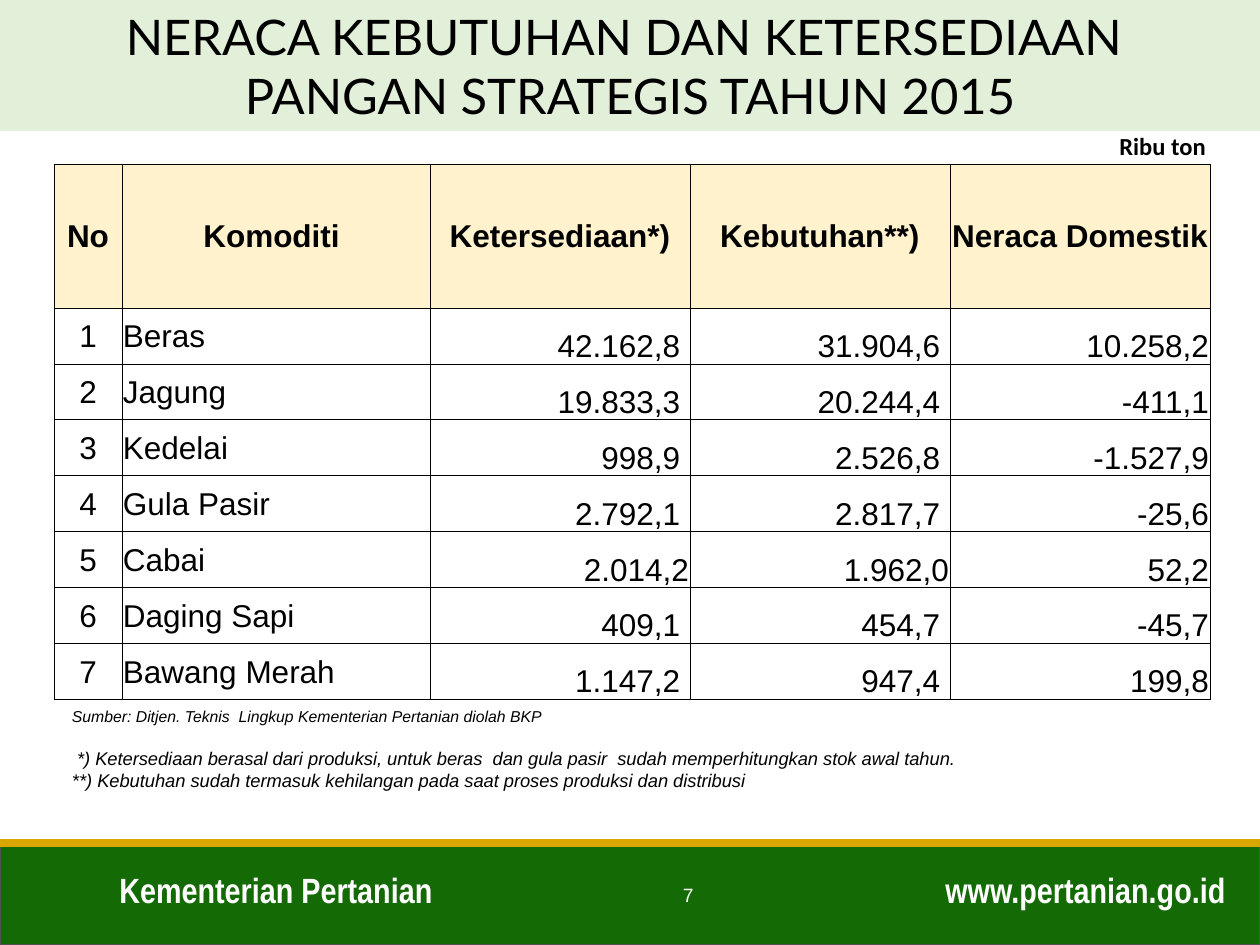
"""Build the 2015 food balance slide."""
import pptx
import pptx.dml.color
import pptx.enum.shapes
import pptx.enum.text
import pptx.oxml
import pptx.oxml.ns
import pptx.util

Align = pptx.enum.text.PP_ALIGN
Anchor = pptx.enum.text.MSO_ANCHOR
Fit = pptx.enum.text.MSO_AUTO_SIZE
SCALE = 914400 / 126
BLACK, WHITE = "000000", "FFFFFF"

HEAD = ["No", "Komoditi ", "Ketersediaan*)", "Kebutuhan**)", "Neraca Domestik "]
ROWS = [
    ["1", "Beras", "42.162,8 ", "31.904,6 ", "10.258,2"],
    ["2", "Jagung", "19.833,3 ", "20.244,4 ", "-411,1"],
    ["3", "Kedelai", "998,9 ", "2.526,8 ", "-1.527,9"],
    ["4", "Gula Pasir", "2.792,1 ", "2.817,7 ", "-25,6"],
    ["5", "Cabai", "2.014,2", "1.962,0", "52,2"],
    ["6", "Daging Sapi", "409,1 ", "454,7 ", "-45,7"],
    ["7", "Bawang Merah", "1.147,2 ", "947,4 ", "199,8"],
]
NOTES = [
    ("Sumber: Ditjen. Teknis  Lingkup Kementerian Pertanian diolah BKP", 9, 0),
    (" *) Ketersediaan berasal dari produksi, untuk beras  dan gula pasir  "
     "sudah memperhitungkan stok awal tahun.", 10.5, 12),
    ("**) Kebutuhan sudah termasuk kehilangan pada saat proses produksi "
     "dan distribusi", 10.5, 0),
]


def px(num):
    return pptx.util.Emu(round(num * SCALE))


def color(code):
    return pptx.dml.color.RGBColor.from_string(code)


def assign(item, vals):
    for key, val in vals.items():
        setattr(item, key, val)


class Deck:
    def __init__(self):
        self.prs = pptx.Presentation()
        assign(self.prs, {"slide_width": px(1260), "slide_height": px(945)})
        self.slide = self.prs.slides.add_slide(self.prs.slide_layouts[5])
        self.font = {"name": "Arial", "bold": False, "italic": False}

    def place(self, item, left, top, width, height):
        assign(item, {"left": px(left), "top": px(top),
                      "width": px(width), "height": px(height)})

    def style(self, para, size, code=BLACK, align=Align.LEFT, **font):
        para.alignment = align
        assign(para.font, {**self.font, "size": pptx.util.Pt(size), **font})
        para.font.color.rgb = color(code)

    def paint(self, item, code):
        item.fill.solid()
        item.fill.fore_color.rgb = color(code)

    def title(self, text, box, fill):
        item = self.slide.shapes.title
        self.place(item, *box)
        self.paint(item, fill)
        frame = item.text_frame
        frame.text = text
        assign(frame, {"word_wrap": True, "auto_size": Fit.NONE,
                       "vertical_anchor": Anchor.MIDDLE})
        for para in frame.paragraphs:
            self.style(para, 28, align=Align.CENTER, name="Lato")

    def text(self, text, box, size, anchor=Anchor.TOP, **look):
        item = self.slide.shapes.add_textbox(*map(px, box))
        frame = item.text_frame
        assign(frame, {"word_wrap": True, "vertical_anchor": anchor})
        frame.text = text
        self.style(frame.paragraphs[0], size, **look)

    def notes(self, notes, box):
        frame = self.slide.shapes.add_textbox(*map(px, box)).text_frame
        assign(frame, {"word_wrap": True, "margin_left": 0})
        frame.text = "\n".join(note[0] for note in notes)
        for para, (_, size, gap) in zip(frame.paragraphs, notes):
            self.style(para, size, italic=True)
            para.space_before = pptx.util.Pt(gap)

    def rect(self, box, fill, edge):
        kind = pptx.enum.shapes.MSO_SHAPE.RECTANGLE
        item = self.slide.shapes.add_shape(kind, *map(px, box))
        item.shadow.inherit = False
        self.paint(item, fill)
        item.line.color.rgb = color(edge)
        item.line.width = pptx.util.Pt(1)

    def line(self, ends, code, width):
        kind = pptx.enum.shapes.MSO_CONNECTOR.STRAIGHT
        item = self.slide.shapes.add_connector(kind, *map(px, ends))
        item.line.color.rgb = color(code)
        item.line.width = pptx.util.Pt(width)
        props = item._element.spPr
        props.append(props.makeelement(pptx.oxml.ns.qn("a:effectLst"), {}))

    def border(self, cell):
        space = pptx.oxml.ns.nsdecls("a")
        props = cell._tc.get_or_add_tcPr()
        for side in "LRTB":
            props.append(pptx.oxml.parse_xml(
                f'<a:ln{side} {space} w="6350"><a:solidFill>'
                f'<a:srgbClr val="{BLACK}"/></a:solidFill></a:ln{side}>'))

    def cell(self, cell, text, fill, anchor, align, bold):
        edge = px(1)
        assign(cell, {"text": text, "vertical_anchor": anchor,
                      "margin_left": edge, "margin_right": edge,
                      "margin_top": edge, "margin_bottom": 0})
        self.style(cell.text_frame.paragraphs[0], 18, align=align, bold=bold)
        self.border(cell)
        self.paint(cell, fill)

    def table(self, rows, left, top, cols, highs):
        box = map(px, (left, top, sum(cols), sum(highs)))
        grid = self.slide.shapes.add_table(len(rows), len(cols), *box).table
        assign(grid, {"first_row": False, "horz_banding": False})
        for col, width in zip(grid.columns, cols):
            col.width = px(width)
        for row, high in zip(grid.rows, highs):
            row.height = px(high)
        sides = [Align.CENTER, Align.LEFT] + [Align.RIGHT] * 3
        for r, row in enumerate(rows):
            for c, text in enumerate(row):
                head = r == 0
                self.cell(grid.cell(r, c), text,
                          "FFF2CC" if head else WHITE,
                          Anchor.MIDDLE if head or c < 2 else Anchor.BOTTOM,
                          Align.CENTER if head else sides[c], head)


def main():
    deck = Deck()
    foot = {"code": WHITE, "name": "Arial Narrow", "bold": True}
    deck.rect((0, 843, 1260, 102), "146B05", "525252")
    deck.text("Kementerian Pertanian", (107, 862, 461, 55), 20, **foot)
    deck.text("www.pertanian.go.id", (888, 862, 350, 55), 20,
              align=Align.RIGHT, **foot)
    deck.line((0, 843, 1260, 843), "DAA600", 4.5)
    deck.title("NERACA KEBUTUHAN DAN KETERSEDIAAN \n"
               "PANGAN STRATEGIS TAHUN 2015", (0, 0, 1260, 131), "E2F0D9")
    deck.text("7", (412, 870, 294, 50), 11, Anchor.MIDDLE,
              code=WHITE, align=Align.RIGHT)
    deck.text("Ribu ton", (1107, 125, 119, 42), 14, name="Calibri", bold=True)
    deck.notes(NOTES, (72, 701, 1115, 98))
    deck.table([HEAD] + ROWS, 54, 164, [68, 308] + [260] * 3,
               [144] + [56] * len(ROWS))
    deck.prs.save("out.pptx")


if __name__ == "__main__":
    main()
